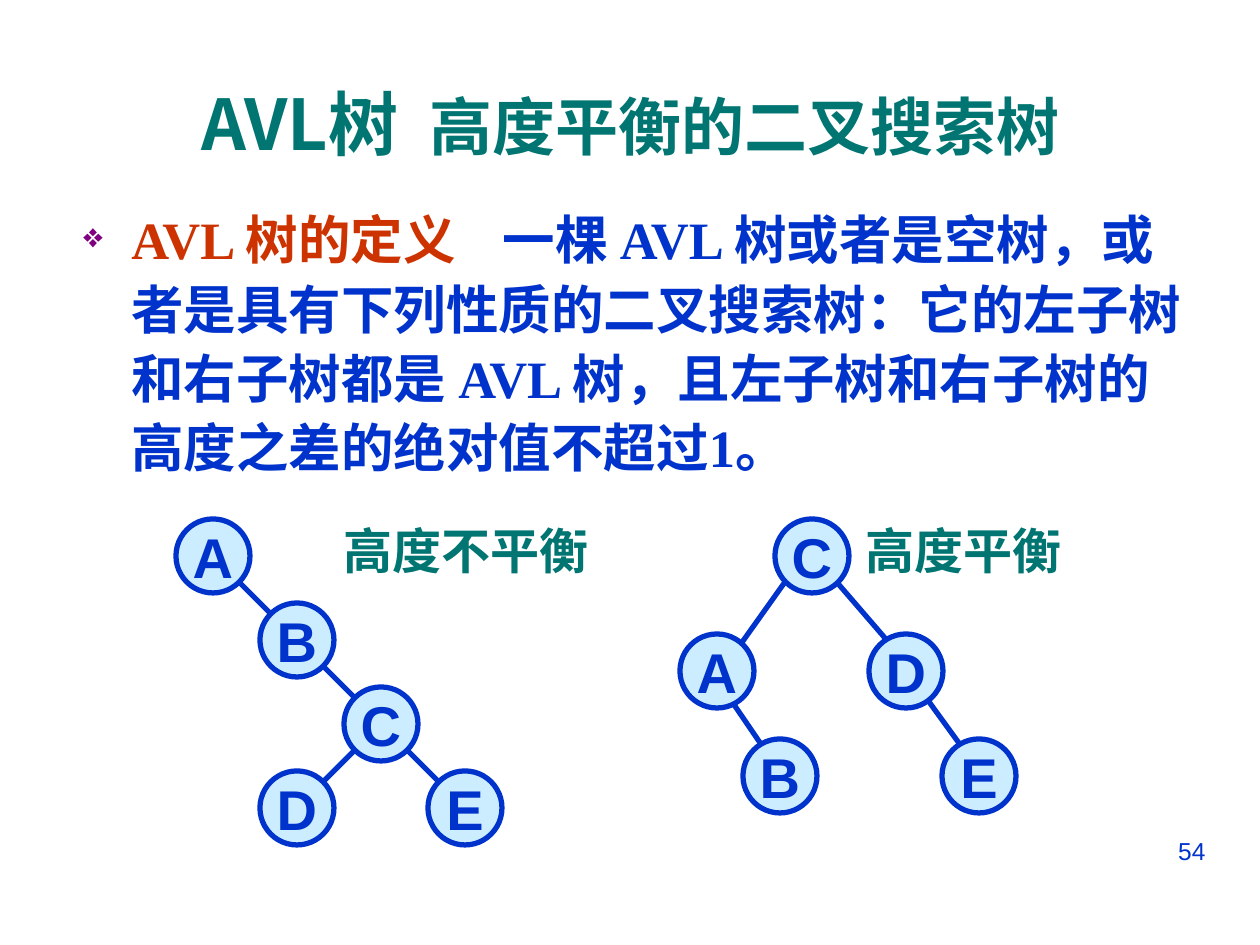
from lxml.etree import SubElement
from pptx import Presentation
from pptx.dml.color import RGBColor
from pptx.enum.shapes import MSO_CONNECTOR as Connector, MSO_SHAPE as Shape
from pptx.enum.text import MSO_ANCHOR as Anchor, PP_ALIGN as Align
from pptx.oxml.ns import qn
from pptx.util import Pt

PX = 914400 / 126
COLORS = {"blue": "0033CC", "teal": "007572", "red": "CC3300",
          "purple": "800080", "node": "CCECFF"}
CJK = "Noto Sans CJK JP"
SERIF = "Times New Roman"
NODE = 74

# Positions are relative to the tree's own box.
TREES = [
    {"box": (176, 519), "label": ("高度不平衡", 168, 250),
     "edges": [(42, 42, 105, 105), (126, 126, 189, 189),
               (210, 210, 273, 273), (189, 221, 126, 284)],
     "nodes": {"A": (0, 0), "B": (84, 84), "C": (168, 168),
               "D": (84, 252), "E": (252, 252)}},
    {"box": (680, 519), "label": ("高度平衡", 186, 200),
     "edges": [(105, 63, 53, 136), (148, 53, 211, 126),
               (42, 168, 85, 231), (231, 158, 284, 231)],
     "nodes": {"C": (95, 0), "A": (0, 115), "D": (189, 115),
               "B": (63, 220), "E": (262, 220)}},
]


def emu(*lengths):
    return [round(length * PX) for length in lengths]


def rgb(name):
    return RGBColor.from_string(COLORS[name])


def add_span(para, text, color, size, name="Arial", bold=True):
    span = para.add_run()
    span.text = text
    for key, value in {"size": Pt(size), "name": name, "bold": bold}.items():
        setattr(span.font, key, value)
    span.font.color.rgb = rgb(color)
    east_asian = SubElement(span.font._element, qn("a:ea"))
    east_asian.set("typeface", CJK)


def clear_margins(frame):
    for side in ("left", "top", "right", "bottom"):
        setattr(frame, f"margin_{side}", 0)


def add_text_box(page, box):
    frame = page.shapes.add_textbox(*emu(*box)).text_frame
    frame.word_wrap = True
    return frame


def add_title(page, box):
    title = page.shapes.title
    title.left, title.top, title.width, title.height = emu(*box)
    title.text_frame.vertical_anchor = Anchor.MIDDLE
    para = title.text_frame.paragraphs[0]
    para.alignment = Align.CENTER
    add_span(para, "AVL树  ", "teal", 40, CJK)
    add_span(para, "高度平衡的二叉搜索树", "teal", 36, CJK)


def add_bullet(para, char, color, percent, indent):
    properties = para._p.get_or_add_pPr()
    properties.set("marL", str(indent))
    properties.set("indent", str(-indent))
    bullet_color = SubElement(properties, qn("a:buClr"))
    SubElement(bullet_color, qn("a:srgbClr")).set("val", COLORS[color])
    SubElement(properties, qn("a:buSzPct")).set("val", str(percent * 1000))
    SubElement(properties, qn("a:buChar")).set("char", char)


def add_definition(page, box):
    para = add_text_box(page, box).paragraphs[0]
    add_bullet(para, "❖", "purple", 65, emu(48)[0])
    para.line_spacing = 1.1
    add_span(para, "AVL 树的定义", "red", 30, SERIF)
    add_span(para, "　", "red", 27, SERIF)
    add_span(para, "一棵 AVL 树或者是空树，或者是具有下列性质的二叉搜索树：它的左子树"
             "和右子树都是 AVL 树，且左子树和右子树的高度之差的绝对值不超过1。",
             "blue", 30, SERIF)


def add_edge(page, ends):
    edge = page.shapes.add_connector(Connector.STRAIGHT, *emu(*ends))
    edge.line.color.rgb = rgb("blue")
    edge.line.width = Pt(3)
    SubElement(edge._element.spPr, qn("a:effectLst"))


def add_node(page, left, top, letter):
    node = page.shapes.add_shape(Shape.OVAL, *emu(left, top, NODE, NODE))
    node.shadow.inherit = False
    node.fill.solid()
    node.fill.fore_color.rgb = rgb("node")
    node.line.color.rgb = rgb("blue")
    node.line.width = Pt(3)
    frame = node.text_frame
    clear_margins(frame)
    frame.word_wrap = False
    frame.vertical_anchor = Anchor.MIDDLE
    para = frame.paragraphs[0]
    para.alignment = Align.CENTER
    add_span(para, letter, "blue", 32)


def add_tree(page, box, label, edges, nodes):
    left, top = box
    for x1, y1, x2, y2 in edges:
        add_edge(page, (left + x1, top + y1, left + x2, top + y2))
    for letter, (x, y) in nodes.items():
        add_node(page, left + x, top + y, letter)
    text, x, width = label
    frame = add_text_box(page, (left + x, top + 1, width, 72))
    clear_margins(frame)
    add_span(frame.paragraphs[0], text, "teal", 28, SERIF)


def add_page_number(page, box):
    para = add_text_box(page, box).paragraphs[0]
    para.alignment = Align.RIGHT
    add_span(para, "54", "blue", 14, bold=False)


def main():
    deck = Presentation()
    deck.slide_width, deck.slide_height = emu(1260, 945)
    page = deck.slides.add_slide(deck.slide_layouts[5])
    add_title(page, (154, 50, 953, 144))
    add_definition(page, (71, 195, 1137, 307))
    for tree in TREES:
        add_tree(page, **tree)
    add_page_number(page, (903, 830, 315, 66))
    deck.save("out.pptx")


if __name__ == "__main__":
    main()
